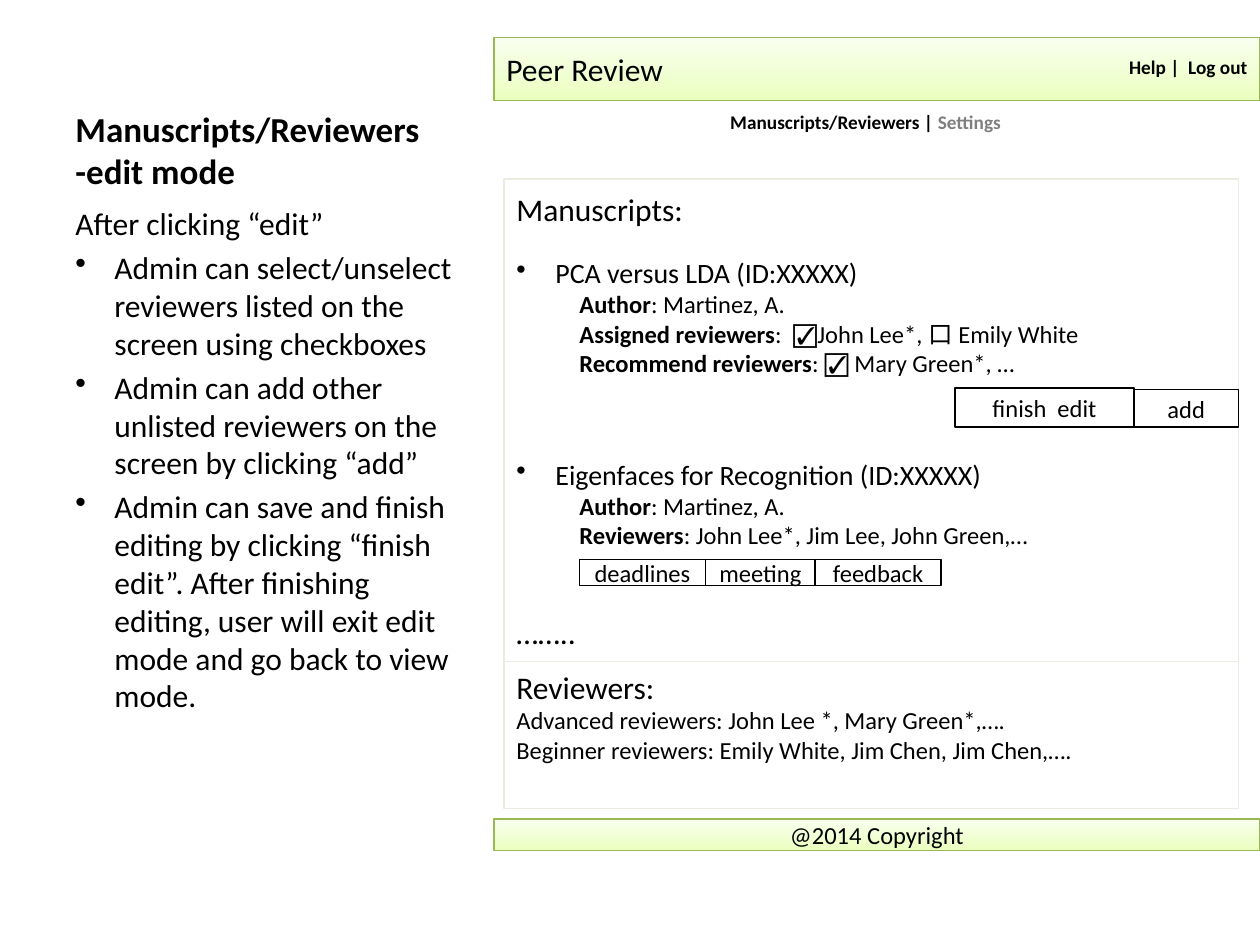
from lxml import etree
from pptx import Presentation
from pptx import util as u
from pptx.dml.color import RGBColor
from pptx.enum import shapes, text
from pptx.oxml import ns

COLOURS = {
    "ink": "000000",
    "muted": "7F7F7F",
    "bar_dark": "EBFFBF",
    "bar_light": "F9FFEF",
    "bar_line": "98B954",
    "panel_line": "EEECE1",
}
FONT = "Calibri"
ALIGN = text.PP_ALIGN
ANCHOR = text.MSO_ANCHOR
BULLET_INDENT = 0.31
DETAIL_INDENT = 0.5
BAR_LEFT, BAR_WIDTH = 3.92, 6.08
PANEL_LEFT, PANEL_WIDTH = 4, 5.83


def colour(name):
    return RGBColor.from_string(COLOURS[name])


def write(shape, *runs, size=14, bold=False, align=ALIGN.LEFT, before=0, indent=0, bullet=False):
    """Add a paragraph; a run is a string or a (string, bold, colour name) tuple."""
    frame = shape.text_frame
    first = frame.paragraphs[0]
    paragraph = frame.add_paragraph() if first.runs else first
    paragraph.alignment = align
    paragraph.space_before = u.Pt(before)
    properties = paragraph._p.get_or_add_pPr()
    if bullet:
        indent = BULLET_INDENT
        properties.set("indent", str(-u.Inches(indent)))
        etree.SubElement(properties, ns.qn("a:buChar")).set("char", "•")
    properties.set("marL", str(u.Inches(indent)))
    for item in runs:
        words, heavy, ink = (item, bold, "ink") if isinstance(item, str) else item
        run = paragraph.add_run()
        run.text = words
        run.font.name = FONT
        run.font.size = u.Pt(size)
        run.font.bold = heavy
        run.font.color.rgb = colour(ink)


def set_frame(shape, anchor, top_inset=0.05):
    frame = shape.text_frame
    frame.word_wrap = True
    frame.vertical_anchor = anchor
    frame.margin_top = u.Inches(top_inset)
    return shape


def add_text_box(slide, left, top, width, height, anchor=ANCHOR.MIDDLE, top_inset=0.05):
    box = slide.shapes.add_textbox(*map(u.Inches, (left, top, width, height)))
    return set_frame(box, anchor, top_inset)


def add_box(slide, left, top, width, height, line="ink", anchor=ANCHOR.MIDDLE):
    box = slide.shapes.add_shape(
        shapes.MSO_SHAPE.RECTANGLE, *map(u.Inches, (left, top, width, height)))
    box.shadow.inherit = False
    box.fill.background()
    box.line.color.rgb = colour(line)
    box.line.width = u.Pt(0.75)
    return set_frame(box, anchor)


def add_bar(slide, top, height):
    bar = add_box(slide, BAR_LEFT, top, BAR_WIDTH, height, line="bar_line")
    bar.fill.gradient()
    bar.fill.gradient_angle = 90
    for stop, name in zip(bar.fill.gradient_stops, ("bar_dark", "bar_light")):
        stop.color.rgb = colour(name)
    return bar


def add_button(slide, label, left, top, width, height):
    write(add_box(slide, left, top, width, height), label, align=ALIGN.CENTER)


def add_manuscript(slide, top, height, top_inset, title, details):
    box = add_text_box(slide, PANEL_LEFT, top, 5.42, height, ANCHOR.TOP, top_inset)
    write(box, title, size=16, bullet=True)
    for label, value in details:
        write(box, (label, True, "ink"), (value, False, "ink"), indent=DETAIL_INDENT)


def add_sidebar(slide):
    title = add_text_box(slide, 0.5, 0.3, 3.29, 1.27, ANCHOR.BOTTOM)
    for line in ("Manuscripts/Reviewers", "-edit mode"):
        write(title, line, size=20, bold=True)
    body = add_text_box(slide, 0.5, 1.57, 3.29, 5.13, ANCHOR.TOP)
    write(body, "After clicking “edit”", size=18)
    for point in (
        "Admin can select/unselect reviewers listed on the screen using checkboxes",
        "Admin can add other unlisted reviewers on the screen by clicking “add”",
        "Admin can save and finish editing by clicking “finish edit”. After finishing "
        "editing, user will exit edit mode and go back to view mode.",
    ):
        write(body, point, size=18, before=3.6, bullet=True)


def add_header_and_footer(slide):
    write(add_bar(slide, 0.3, 0.5), "Peer Review", size=18)
    write(add_bar(slide, 6.5, 0.25), "@2014 Copyright", align=ALIGN.CENTER)
    write(add_text_box(slide, 8.58, 0.42, 1.42, 0.22), "Help |  Log out",
          size=11, bold=True, align=ALIGN.RIGHT)
    write(add_text_box(slide, 4.08, 0.86, 5.58, 0.22), "Manuscripts/Reviewers | ",
          ("Settings", True, "muted"), size=11, bold=True, align=ALIGN.CENTER)


def add_manuscripts_panel(slide):
    panel = add_box(slide, PANEL_LEFT, 1.42, PANEL_WIDTH, 3.83, line="panel_line")
    write(panel, "Manuscripts:", size=18)
    write(panel, "……..", size=18, before=220)
    add_manuscript(slide, 1.58, 2.17, 0.45, "PCA versus LDA (ID:XXXXX)", (
        ("Author", ": Martinez, A."),
        ("Assigned reviewers", ":  ☑John Lee*, 口 Emily White"),
        ("Recommend reviewers", ": ☑ Mary Green*, …"),
    ))
    add_manuscript(slide, 3.58, 1.17, 0.05, "Eigenfaces for Recognition (ID:XXXXX)", (
        ("Author", ": Martinez, A."),
        ("Reviewers", ": John Lee*, Jim Lee, John Green,…"),
    ))
    left = 4.6
    for label, width in (("deadlines", 1), ("meeting", 0.87), ("feedback", 1)):
        add_button(slide, label, left, 4.44, width, 0.21)
        left += width
    add_button(slide, "finish  edit", 7.58, 3.08, 1.42, 0.31)
    add_button(slide, "add", 9, 3.09, 0.83, 0.3)


def add_reviewers_panel(slide):
    panel = add_box(slide, PANEL_LEFT, 5.25, PANEL_WIDTH, 1.17,
                    line="panel_line", anchor=ANCHOR.TOP)
    write(panel, "Reviewers:", size=18)
    write(panel, "Advanced reviewers: John Lee *, Mary Green*,….")
    write(panel, "Beginner reviewers: Emily White, Jim Chen, Jim Chen,….")


def main():
    presentation = Presentation()
    presentation.slide_width = u.Inches(10)
    presentation.slide_height = u.Inches(7.5)
    slide = presentation.slides.add_slide(presentation.slide_layouts[6])
    add_sidebar(slide)
    add_header_and_footer(slide)
    add_manuscripts_panel(slide)
    add_reviewers_panel(slide)
    presentation.save("out.pptx")


if __name__ == "__main__":
    main()
